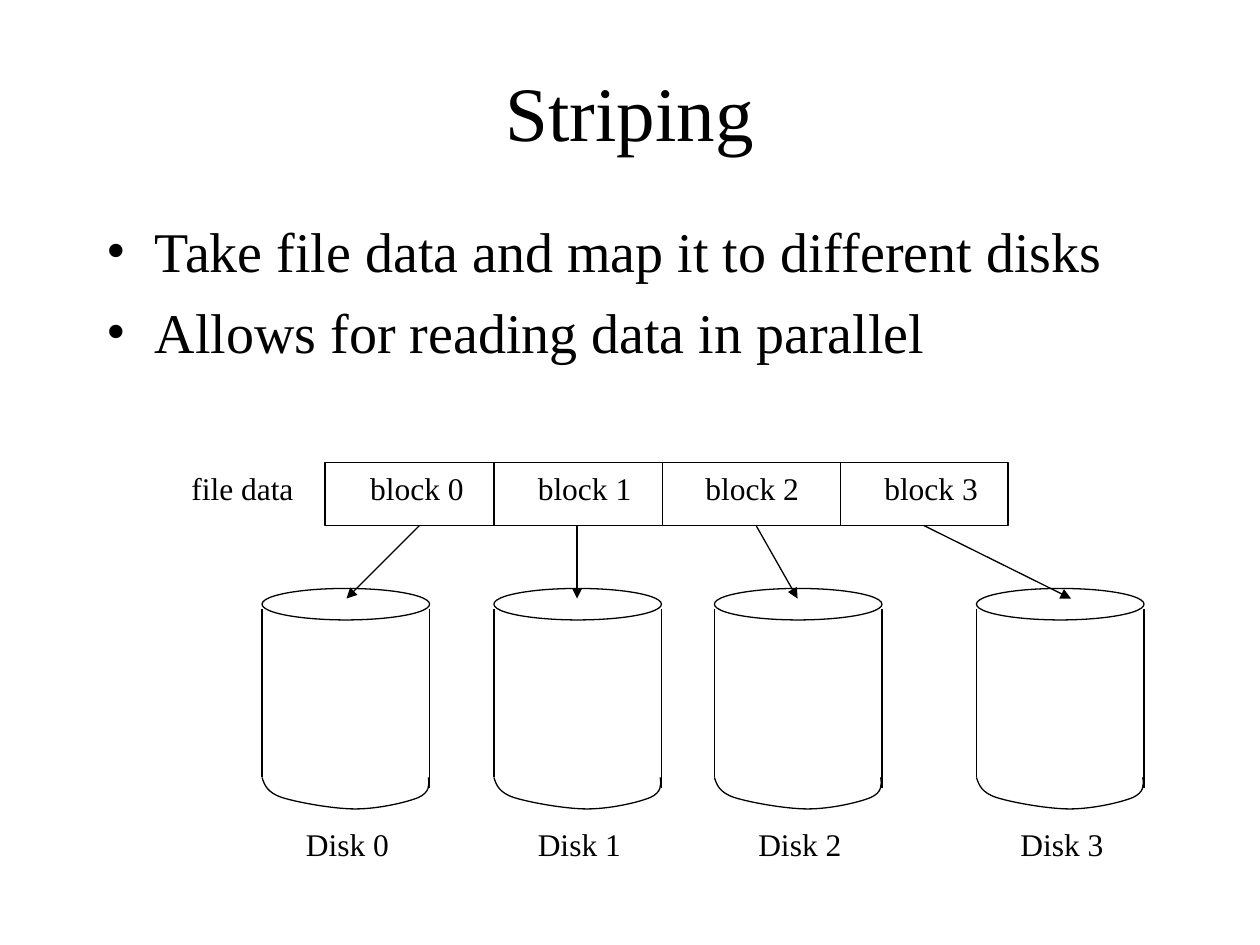
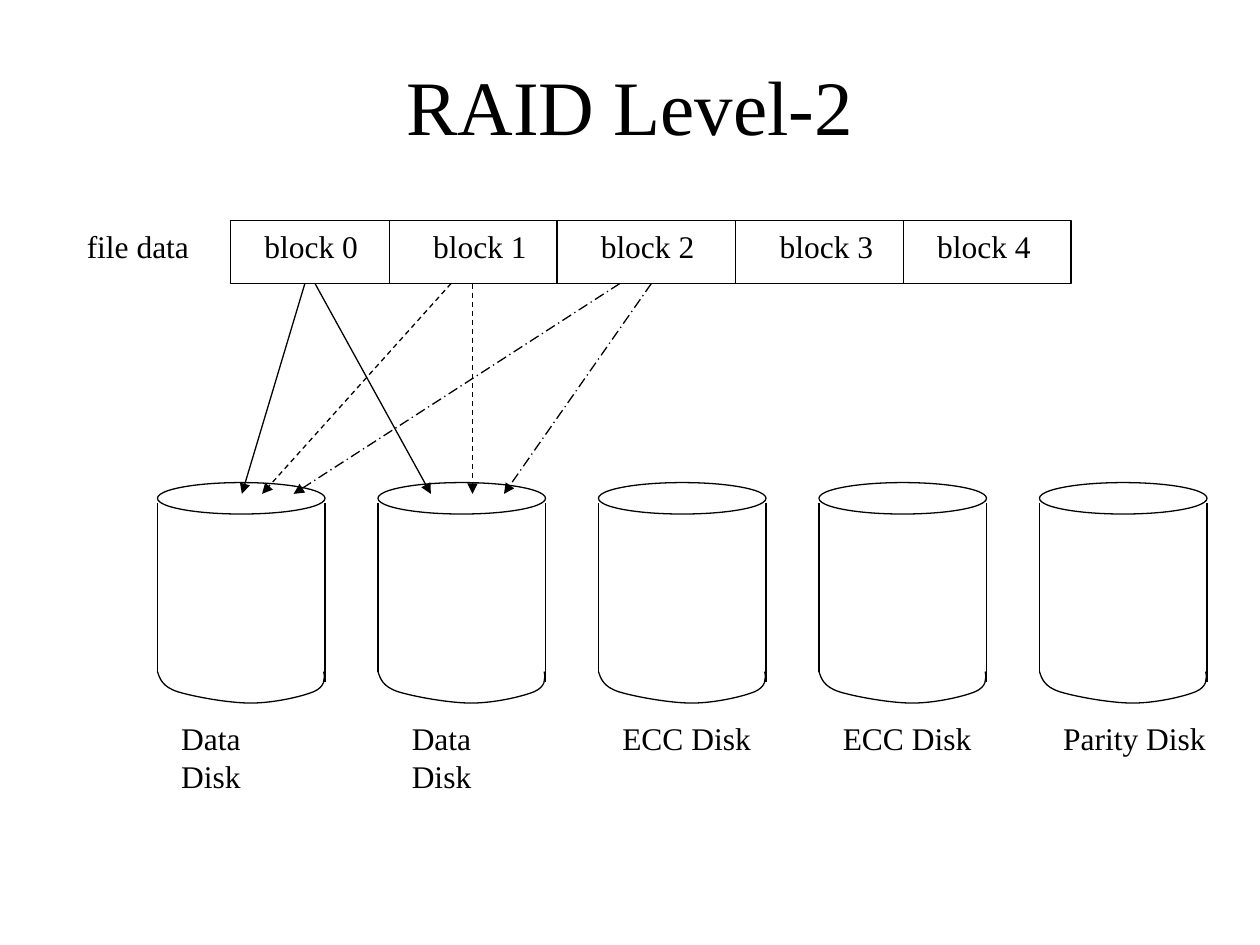
from itertools import chain
from pptx import Presentation
from pptx.dml.color import RGBColor
from pptx.enum.dml import MSO_LINE_DASH_STYLE as Dash
from pptx.enum.shapes import MSO_CONNECTOR as Connector, MSO_SHAPE as Shape
from pptx.enum.text import MSO_ANCHOR as Anchor, MSO_AUTO_SIZE as AutoSize, PP_ALIGN as Align
from pptx.oxml.ns import qn
from pptx.util import Inches, Pt
from lxml.etree import SubElement

FONT = "Times New Roman"
BLACK = "000000"
TITLE_SIZE, BULLET_SIZE, LABEL_SIZE = 44, 32, 18
BAR_HEIGHT = 0.5
LABEL_HEIGHT = 0.4
LABEL_WIDTHS = {"file": 1.01, "block": 0.94, "Disk": 0.86,
                "Data": 1.2, "ECC": 1.22, "Parity": 1.33}
DISK_WIDTH, LID_HEIGHT = 1.33, 0.25
BASE_CURVES = [
    [(0.02, 0.06), (0.04, 0.12), (0.16, 0.16)],
    [(0.29, 0.2), (0.57, 0.25), (0.74, 0.25)],
    [(0.92, 0.25), (1.14, 0.2), (1.24, 0.16)],
    [(1.33, 0.12), (1.33, 0.06), (1.32, 0)],
]


def color(hex_text):
    return RGBColor.from_string(hex_text)


def style_text(para, size):
    for span in para.runs:
        span.font.name = FONT
        span.font.size = Pt(size)
        span.font.color.rgb = color(BLACK)


def style_outline(shape):
    shape.line.color.rgb = color(BLACK)
    shape.line.width = Pt(0.75)


def style_hollow(shape):
    shape.shadow.inherit = False
    shape.fill.background()
    style_outline(shape)


def add_line(shapes, start, end, dash=None, arrow=False):
    points = [Inches(value) for value in (*start, *end)]
    line = shapes.add_connector(Connector.STRAIGHT, *points)
    style_outline(line)
    if dash is not None:
        line.line.dash_style = dash
    if arrow:
        SubElement(line.line._get_or_add_ln(), qn("a:tailEnd"), type="triangle")
    SubElement(line._element.spPr, qn("a:effectLst"))


def add_label(shapes, text, left, top):
    width = LABEL_WIDTHS[text.split()[0]]
    box = shapes.add_textbox(Inches(left), Inches(top), Inches(width), Inches(LABEL_HEIGHT))
    frame = box.text_frame
    frame.word_wrap = False
    frame.auto_size = AutoSize.SHAPE_TO_FIT_TEXT
    frame.text = text
    style_text(frame.paragraphs[0], LABEL_SIZE)


def add_page(deck, title_text, top, height):
    page = deck.slides.add_slide(deck.slide_layouts[5])
    title = page.shapes.title
    title.left, title.top = Inches(0.75), Inches(top)
    title.width, title.height = Inches(8.5), Inches(height)
    frame = title.text_frame
    frame.text = title_text
    frame.auto_size = AutoSize.NONE
    frame.vertical_anchor = Anchor.MIDDLE
    frame.paragraphs[0].alignment = Align.CENTER
    style_text(frame.paragraphs[0], TITLE_SIZE)
    return page


def add_bullets(page, left, top, width, height, lines):
    box = page.shapes.add_textbox(Inches(left), Inches(top), Inches(width), Inches(height))
    frame = box.text_frame
    frame.word_wrap = True
    frame.text = "\n".join(lines)
    for index, para in enumerate(frame.paragraphs):
        properties = para._p.get_or_add_pPr()
        properties.set("marL", str(Inches(0.38)))
        properties.set("indent", str(Inches(-0.38)))
        SubElement(properties, qn("a:buFont"), typeface=FONT)
        SubElement(properties, qn("a:buChar"), char="•")
        para.space_before = Pt(8 if index else 0)
        style_text(para, BULLET_SIZE)


def add_file_bar(page, left, top, width, caption_gap, cells):
    bar = page.shapes.add_shape(Shape.RECTANGLE, Inches(left), Inches(top),
                                Inches(width), Inches(BAR_HEIGHT))
    style_hollow(bar)
    add_label(page.shapes, "file data", left - caption_gap, top)
    for number, (offset, inset) in enumerate(cells):
        edge = left + offset
        if number:
            add_line(page.shapes, (edge, top), (edge, top + BAR_HEIGHT))
        add_label(page.shapes, f"block {number}", edge + inset, top)


def add_disk_base(shapes, left, top):
    points = [(Inches(left + x), Inches(top + y)) for x, y in chain(*BASE_CURVES)]
    outline = shapes.build_freeform(Inches(left), Inches(top))
    outline.add_line_segments(points, close=False)
    base = outline.convert_to_shape()
    segments = list(base._element.iter(qn("a:lnTo")))
    track = segments[0].getparent()
    for first in range(0, len(segments), 3):
        curve = SubElement(track, qn("a:cubicBezTo"))
        for segment in segments[first:first + 3]:
            curve.append(segment[0])
            track.remove(segment)
    style_hollow(base)


def add_disk(shapes, left, top, name, label_inset):
    right, side_top, base_top = left + DISK_WIDTH, top + 0.16, top + 1.5
    lid = shapes.add_shape(Shape.OVAL, Inches(left), Inches(top),
                           Inches(DISK_WIDTH), Inches(LID_HEIGHT))
    style_hollow(lid)
    add_line(shapes, (left, side_top), (left, base_top))
    add_line(shapes, (right, side_top), (right, base_top + 0.08))
    add_disk_base(shapes, left, base_top)
    add_label(shapes, name, left + label_inset, top + 1.83)


def add_arrows(page, top, bottom, arrows):
    for start, end, dash in arrows:
        add_line(page.shapes, (start, top), (end, bottom), dash, arrow=True)


def build_striping(deck):
    page = add_page(deck, "Striping", 0.42, 0.92)
    add_bullets(page, 0.75, 1.67, 8.5, 1.5, [
        "Take file data and map it to different disks",
        "Allows for reading data in parallel",
    ])
    add_file_bar(page, 2.58, 3.67, 5.42, 1.16,
                 [(0, 0.26), (1.34, 0.25), (2.68, 0.24), (4.09, 0.25)])
    for number, left in enumerate((2.08, 3.92, 5.67, 7.75)):
        group = page.shapes.add_group_shape()
        add_disk(group.shapes, left, 4.67, f"Disk {number}", 0.25)
    add_arrows(page, 4.17, 4.75, [
        (3.33, 2.75, None), (4.58, 4.58, None), (6, 6.33, None), (7.33, 8.5, None),
    ])


def build_raid_level_2(deck):
    page = add_page(deck, "RAID Level-2", 0.33, 1)
    add_file_bar(page, 1.83, 1.75, 6.67, 1.24,
                 [(0, 0.17), (1.26, 0.25), (2.59, 0.25), (4.01, 0.25), (5.34, 0.17)])
    disks = [("Data Disk", 0.09), ("Data Disk", 0.17), ("ECC Disk", 0.09),
             ("ECC Disk", 0.09), ("Parity Disk", 0.09)]
    for number, (name, inset) in enumerate(disks):
        add_disk(page.shapes, 1.25 + 1.75 * number, 3.83, name, inset)
    add_arrows(page, 2.25, 3.92, [
        (2.42, 1.92, None), (2.5, 3.42, None),
        (3.58, 2.08, Dash.DASH), (3.75, 3.75, Dash.DASH),
        (4.92, 2.33, Dash.LONG_DASH_DOT), (5.17, 4, Dash.LONG_DASH_DOT),
    ])


def main():
    deck = Presentation()
    deck.slide_width, deck.slide_height = Inches(10), Inches(7.5)
    build_striping(deck)
    build_raid_level_2(deck)
    deck.save("out.pptx")


if __name__ == "__main__":
    main()
